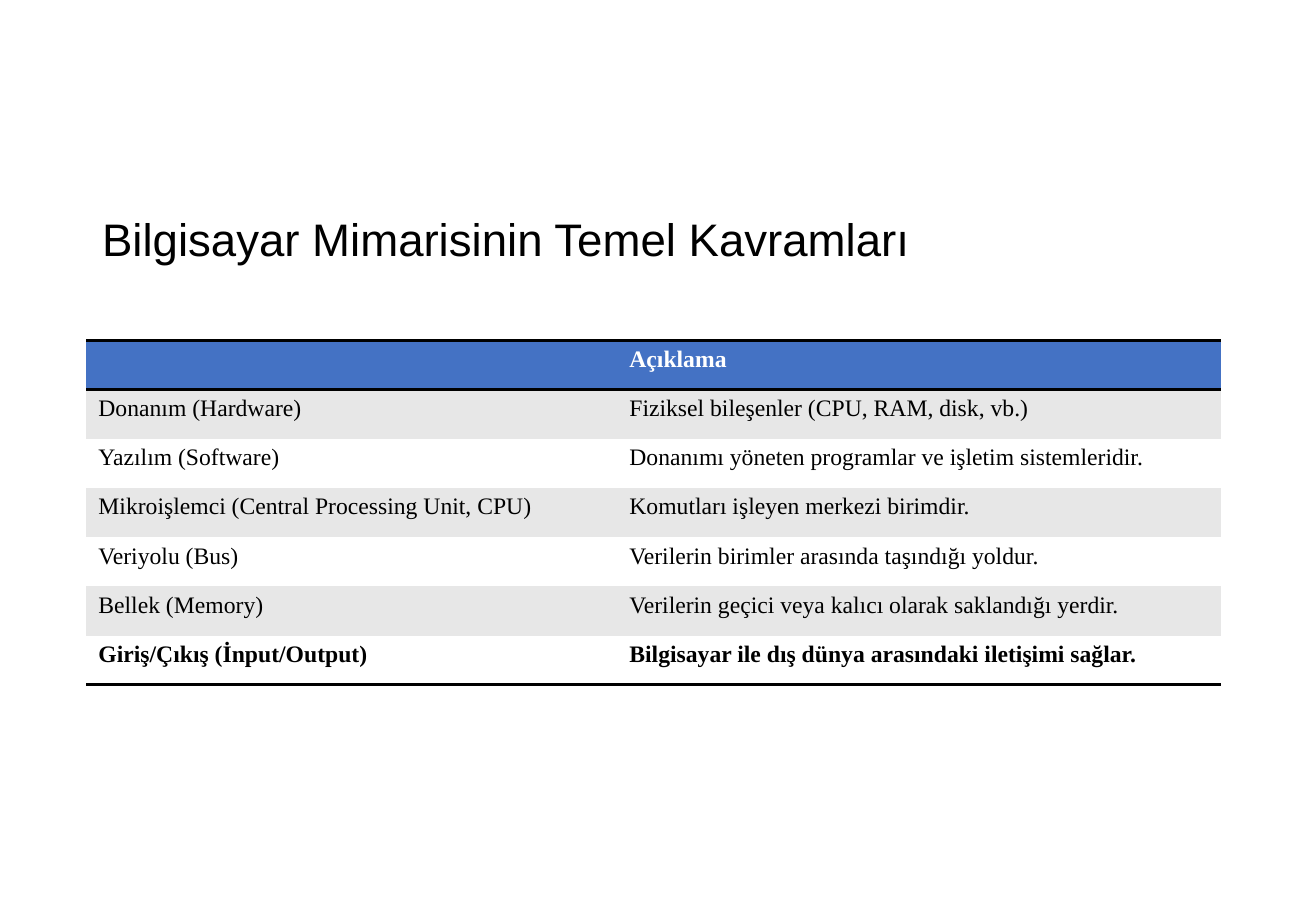
from dataclasses import dataclass

from pptx import Presentation
from pptx.dml.color import RGBColor as RGB
from pptx.enum.text import MSO_ANCHOR, PP_ALIGN
from pptx.oxml import parse_xml
from pptx.oxml.ns import nsdecls, qn
from pptx.util import Inches, Pt

TITLE = "Bilgisayar Mimarisinin Temel Kavramları"
ROWS = [
    ("", "Açıklama"),
    ("Donanım (Hardware)", "Fiziksel bileşenler (CPU, RAM, disk, vb.)"),
    ("Yazılım (Software)", "Donanımı yöneten programlar ve işletim sistemleridir."),
    ("Mikroişlemci (Central Processing Unit, CPU)", "Komutları işleyen merkezi birimdir."),
    ("Veriyolu (Bus)", "Verilerin birimler arasında taşındığı yoldur."),
    ("Bellek (Memory)", "Verilerin geçici veya kalıcı olarak saklandığı yerdir."),
    ("Giriş/Çıkış (İnput/Output)", "Bilgisayar ile dış dünya arasındaki iletişimi sağlar."),
]
COL_WIDTHS = (4.37, 4.97)
TABLE_HEIGHT = 2.84
NO_STYLE = "{2D5ABB26-0587-4C30-8999-92F81FD0307C}"


@dataclass(frozen=True)
class Theme:
    title_font: str = "Arial"
    body_font: str = "Times New Roman"
    title_size: int = 27
    body_size: int = 14
    rule_width: int = 2
    text: str = "000000"
    header_text: str = "FFFFFF"
    header: str = "4472C4"
    band: str = "E7E7E7"
    plain: str = "FFFFFF"


theme = Theme()


def style_font(font, name, size, color, bold=False):
    font.name, font.size, font.bold = name, Pt(size), bold
    font.color.rgb = RGB.from_string(color)


def add_rules(cell, sides):
    tcPr = cell._tc.get_or_add_tcPr()
    for i, side in enumerate(sides):
        tcPr.insert(i, parse_xml(
            f'<a:ln{side} {nsdecls("a")} w="{Pt(theme.rule_width)}"><a:solidFill>'
            f'<a:srgbClr val="{theme.text}"/></a:solidFill></a:ln{side}>'))


def add_title(slide):
    title = slide.shapes.title
    title.left, title.top = Inches(0.74), Inches(1.66)
    title.width, title.height = Inches(9.34), Inches(0.66)
    tf = title.text_frame
    tf.text = TITLE
    tf.vertical_anchor = MSO_ANCHOR.MIDDLE
    p = tf.paragraphs[0]
    p.alignment, p.line_spacing = PP_ALIGN.LEFT, 0.9
    style_font(p.runs[0].font, theme.title_font, theme.title_size, theme.text)


def add_concepts(slide):
    table = slide.shapes.add_table(
        len(ROWS), len(COL_WIDTHS), Inches(0.71), Inches(2.8),
        Inches(sum(COL_WIDTHS)), Inches(TABLE_HEIGHT)).table
    table._tbl.tblPr.find(qn("a:tableStyleId")).text = NO_STYLE
    for column, width in zip(table.columns, COL_WIDTHS):
        column.width = Inches(width)
    last = len(ROWS) - 1
    for r, row in enumerate(ROWS):
        fill = theme.header if r == 0 else theme.band if r % 2 else theme.plain
        color = theme.text if r else theme.header_text
        for c, text in enumerate(row):
            cell = table.cell(r, c)
            cell.text = text
            cell.fill.solid()
            cell.fill.fore_color.rgb = RGB.from_string(fill)
            add_rules(cell, {0: "TB", last: "B"}.get(r, ""))
            p = cell.text_frame.paragraphs[0]
            p.alignment = PP_ALIGN.JUSTIFY
            for run in p.runs:
                style_font(run.font, theme.body_font, theme.body_size, color, r in (0, last))


def main():
    prs = Presentation()
    prs.slide_width, prs.slide_height = Inches(10.83), Inches(7.5)
    slide = prs.slides.add_slide(prs.slide_layouts[5])
    add_title(slide)
    add_concepts(slide)
    prs.save("out.pptx")


if __name__ == "__main__":
    main()
